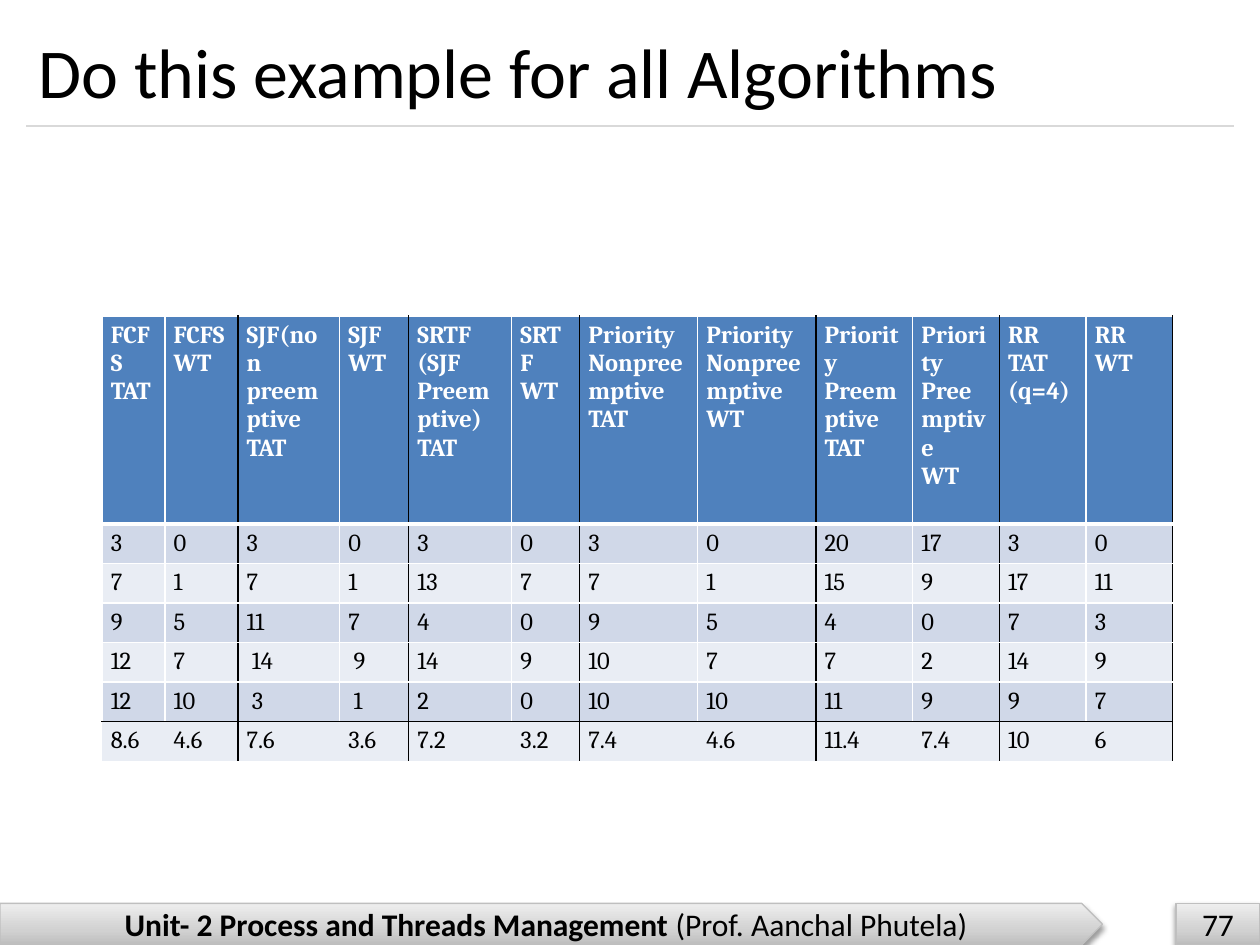
from dataclasses import dataclass

from lxml import etree
from pptx import Presentation
from pptx.dml.color import RGBColor
from pptx.enum.shapes import MSO_CONNECTOR, MSO_SHAPE
from pptx.enum.text import MSO_ANCHOR, PP_ALIGN
from pptx.oxml import parse_xml
from pptx.oxml.ns import nsdecls, qn
from pptx.util import Emu, Inches, Pt

LEFT, CENTER = PP_ALIGN.LEFT, PP_ALIGN.CENTER
TOP, MIDDLE = MSO_ANCHOR.TOP, MSO_ANCHOR.MIDDLE
ARROW, RECT = MSO_SHAPE.PENTAGON, MSO_SHAPE.RECTANGLE
STRAIGHT = MSO_CONNECTOR.STRAIGHT

# Slide grid: 100 columns by 75 rows
UNIT = Inches(0.1)
COLS, ROWS = 100, 75


@dataclass(frozen=True)
class Theme:
    sans: str = "Calibri"
    serif: str = "Cambria"
    title: int = 40
    foot: int = 18
    cell: int = 14
    black: str = "000000"
    white: str = "FFFFFF"
    rule: str = "D9D9D9"
    edge: str = "BFBFBF"
    head: str = "4F81BD"
    bands: tuple = ("D0D8E8", "E9EDF4")
    fade: tuple = ((0, "BDBDBD"), (35, "D1D1D1"), (100, "EEEEEE"))


T = Theme()

WIDTHS = [50, 58, 81, 55, 82, 54, 94, 94, 77, 69, 69, 69]
HEADS = [
    "FCFS\nTAT", "FCFS\nWT",
    "SJF(non preemptive\nTAT", "SJF\nWT",
    "SRTF (SJF Preemptive)\nTAT", "SRTF\nWT",
    "Priority\nNonpreemptive\nTAT", "Priority\nNonpreemptive\nWT",
    "Priority\nPreemptive\nTAT", "Priority\nPreemptive\nWT",
    "RR\nTAT\n(q=4)", "RR\nWT",
]
TIMES = [
    ["3", "0", "3", "0", "3", "0", "3", "0", "20", "17", "3", "0"],
    ["7", "1", "7", "1", "13", "7", "7", "1", "15", "9", "17", "11"],
    ["9", "5", "11", "7", "4", "0", "9", "5", "4", "0", "7", "3"],
    ["12", "7", " 14", " 9", "14", "9", "10", "7", "7", "2", "14", "9"],
    ["12", "10", " 3", " 1", "2", "0", "10", "10", "11", "9", "9", "7"],
]
MEANS = ["8.6", "4.6", "7.6", "3.6", "7.2", "3.2",
         "7.4", "4.6", "11.4", "7.4", "10", "6"]


def grid(*box):
    return [Emu(round(n * UNIT)) for n in box]


def rgb(code):
    return RGBColor.from_string(code)


def put(frame, text, size, font=T.sans, color=T.black, bold=False,
        align=LEFT, anchor=MIDDLE, tail=""):
    """Write text, one paragraph a line; tail is a plain run at the end."""
    frame.word_wrap = True
    frame.vertical_anchor = anchor
    for i, words in enumerate(text.split("\n")):
        para = frame.paragraphs[0] if i == 0 else frame.add_paragraph()
        para.alignment = align
        for part, heavy in ((words, bold), (tail, False)):
            if part:
                run = para.add_run()
                run.text = part
                run.font.name, run.font.size = font, Pt(size)
                run.font.bold = heavy
                run.font.color.rgb = rgb(color)


def title(slide, box, text):
    x, y, w, h = grid(*box)
    put(slide.shapes.add_textbox(x, y, w, h).text_frame, text, T.title)
    # Rule under the title
    line = slide.shapes.add_connector(STRAIGHT, x, y + h, x + w, y + h)
    line.line.color.rgb = rgb(T.rule)
    line.line.width = Pt(0.75)
    etree.SubElement(line._element.spPr, qn("a:effectLst"))


def plate(slide, kind, box, text, **form):
    """Raised grey plate with centred text."""
    shape = slide.shapes.add_shape(kind, *grid(*box))
    shape.line.color.rgb = rgb(T.edge)
    shape.line.width = Pt(0.75)
    shape.shadow.inherit = False
    props = shape._element.spPr
    # Three-stop fade, dark at the foot
    stops = "".join(
        f'<a:gs pos="{at * 1000}"><a:srgbClr val="{code}"/></a:gs>'
        for at, code in T.fade)
    props.find(qn("a:prstGeom")).addnext(parse_xml(
        f'<a:gradFill {nsdecls("a")} rotWithShape="1"><a:gsLst>{stops}'
        '</a:gsLst><a:lin ang="16200000" scaled="0"/></a:gradFill>'))
    # Soft shadow below
    props.find(qn("a:effectLst")).append(parse_xml(
        f'<a:outerShdw {nsdecls("a")} blurRad="{Pt(3.1)}" dist="{Pt(1.6)}" '
        'dir="5400000" rotWithShape="0"><a:srgbClr val="000000">'
        '<a:alpha val="38000"/></a:srgbClr></a:outerShdw>'))
    put(shape.text_frame, text, T.foot, align=CENTER, **form)


def footer(slide, box):
    x, y, w, h = box
    plate(slide, ARROW, (x, y, w * 0.875, h),
          "Unit- 2 Process and Threads Management ", bold=True,
          tail="(Prof. Aanchal Phutela)")
    tab = w / 15
    plate(slide, RECT, (x + w - tab, y, tab, h), "77")


def border(cell, **sides):
    """Draw each side from (colour, points), or leave it open for None."""
    props = cell._tc.get_or_add_tcPr()
    for side in "LRTB":
        code, width = sides[side] or (None, 0)
        line = etree.SubElement(props, qn(f"a:ln{side}"), w=str(Pt(width)))
        if code:
            fill = etree.SubElement(line, qn("a:solidFill"))
            etree.SubElement(fill, qn("a:srgbClr"), val=code)
        else:
            etree.SubElement(line, qn("a:noFill"))


def edges(row, col, last):
    """Black lines part the pairs of columns and set off the last row."""
    dark, pale = (T.black, 1), (T.white, 1)
    open_ = None if row == last else pale
    if row == 0:
        foot = (T.white, 3)
    else:
        foot = dark if row == last - 1 else open_
    top = (T.white, 3) if row == 1 else pale
    return {
        "L": dark if col and col % 2 == 0 else open_,
        "R": dark if col % 2 else open_,
        "T": dark if row == last else top,
        "B": foot,
    }


def table(slide, box, rows):
    x, y, w, h = grid(*box)
    last = len(rows) - 1
    grid_ = slide.shapes.add_table(len(rows), len(WIDTHS), x, y, w, h).table
    grid_.first_row = grid_.horz_banding = False
    for col, share in zip(grid_.columns, WIDTHS):
        col.width = Emu(round(w * share / sum(WIDTHS)))
    # The head is as tall as five and a half rows
    for r, row in enumerate(grid_.rows):
        row.height = Emu(round(h * (5.5 if r == 0 else 1) / (last + 5.5)))
    for r, words in enumerate(rows):
        top = r == 0
        for c, text in enumerate(words):
            cell = grid_.cell(r, c)
            border(cell, **edges(r, c, last))
            cell.fill.solid()
            cell.fill.fore_color.rgb = rgb(
                T.head if top else T.bands[(r - 1) % 2])
            cell.margin_left = cell.margin_right = Inches(0.07)
            cell.margin_top = cell.margin_bottom = Inches(0.04)
            put(cell.text_frame, text, T.cell, font=T.serif, bold=top,
                color=T.white if top else T.black)
            cell.vertical_anchor = TOP


def main():
    deck = Presentation()
    deck.slide_width, deck.slide_height = grid(COLS, ROWS)
    slide = deck.slides.add_slide(deck.slide_layouts[6])
    footer(slide, (0, 71.7, COLS, 3.3))
    title(slide, (2.1, 1.2, 95.8, 8.8), "Do this example for all Algorithms")
    table(slide, (8.1, 25.1, 85, 34.5), [HEADS, *TIMES, MEANS])
    deck.save("out.pptx")


if __name__ == "__main__":
    main()
